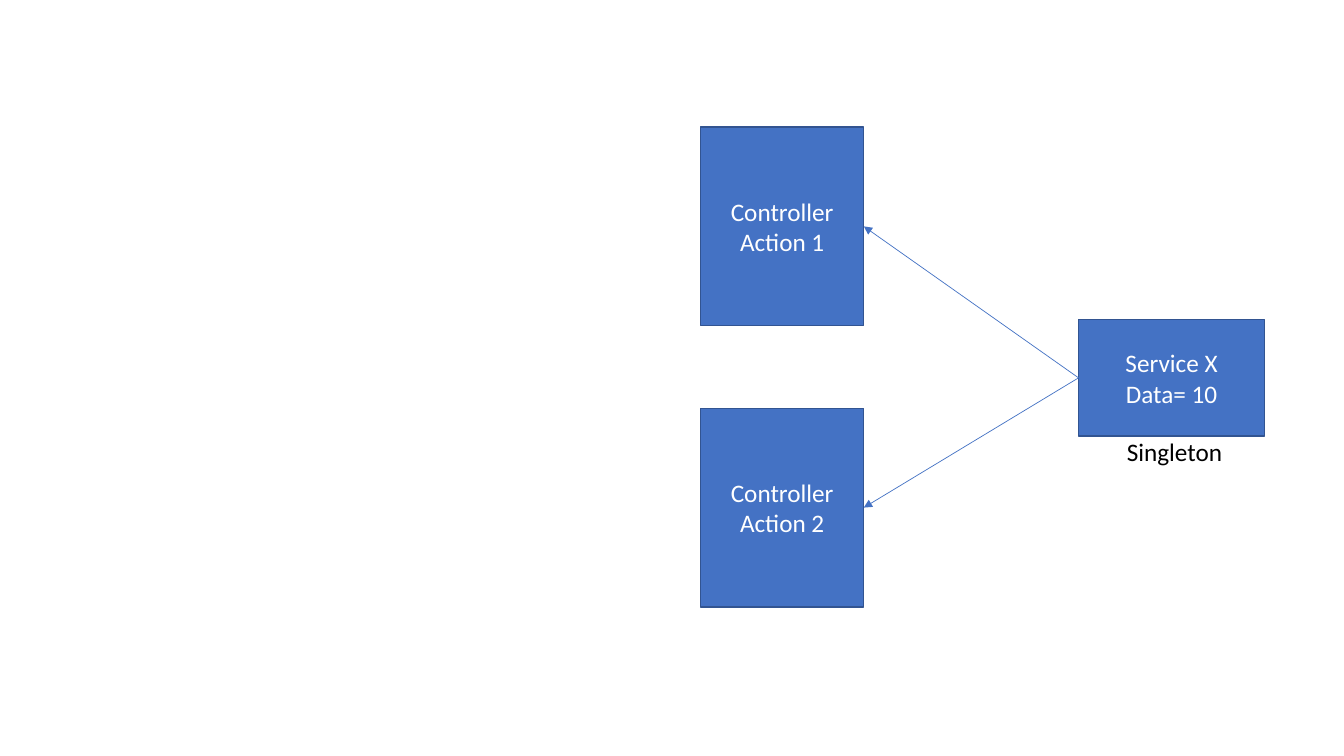
import dataclasses

import lxml.etree
import pptx
import pptx.dml.color
import pptx.enum.shapes
import pptx.enum.text
import pptx.oxml.ns
import pptx.util

Pt = pptx.util.Pt
RGB = pptx.dml.color.RGBColor.from_string
qn = pptx.oxml.ns.qn
ALIGN = pptx.enum.text.PP_ALIGN
ANCHOR = pptx.enum.text.MSO_ANCHOR


@dataclasses.dataclass(frozen=True)
class Theme:
    font: str = "Calibri"
    size: float = 18
    fill: str = "4472C4"
    border: str = "325491"
    light: str = "FFFFFF"
    dark: str = "000000"
    border_width: float = 1
    arrow_width: float = 0.5


def write(tf, text, *, font, size, color, align=ALIGN.LEFT, anchor=ANCHOR.TOP):
    tf.word_wrap = True
    tf.vertical_anchor = anchor
    for i, line in enumerate(text.split("\n")):
        p = tf.paragraphs[0] if i == 0 else tf.add_paragraph()
        p.alignment = align
        r = p.add_run()
        r.text = line
        r.font.name = font
        r.font.size = Pt(size)
        r.font.color.rgb = RGB(color)


class Deck:
    def __init__(self, s, theme):
        self.s = s
        self.theme = theme

    def box(self, text, x, y, w, h):
        t = self.theme
        sp = self.s.shapes.add_shape(
            pptx.enum.shapes.MSO_SHAPE.RECTANGLE, Pt(x), Pt(y), Pt(w), Pt(h))
        sp.shadow.inherit = False
        sp.fill.solid()
        sp.fill.fore_color.rgb = RGB(t.fill)
        sp.line.color.rgb = RGB(t.border)
        sp.line.width = Pt(t.border_width)
        write(sp.text_frame, text, font=t.font, size=t.size, color=t.light,
              align=ALIGN.CENTER, anchor=ANCHOR.MIDDLE)
        return sp

    def label(self, text, x, y, w, h):
        t = self.theme
        sp = self.s.shapes.add_textbox(Pt(x), Pt(y), Pt(w), Pt(h))
        write(sp.text_frame, text, font=t.font, size=t.size, color=t.dark)
        sp.text_frame.auto_size = pptx.enum.text.MSO_AUTO_SIZE.SHAPE_TO_FIT_TEXT

    def arrow(self, start, start_site, end, end_site):
        t = self.theme
        c = self.s.shapes.add_connector(
            pptx.enum.shapes.MSO_CONNECTOR.STRAIGHT, 0, 0, 0, 0)
        c.begin_connect(start, start_site)
        c.end_connect(end, end_site)
        c.line.color.rgb = RGB(t.fill)
        c.line.width = Pt(t.arrow_width)
        ln = c.line._get_or_add_ln()
        lxml.etree.SubElement(ln, qn("a:tailEnd"), type="triangle")
        lxml.etree.SubElement(c._element.spPr, qn("a:effectLst"))


LEFT_SITE, RIGHT_SITE = 1, 3

prs = pptx.Presentation()
prs.slide_width, prs.slide_height = Pt(960), Pt(540)
deck = Deck(prs.slides.add_slide(prs.slide_layouts[6]), Theme())

controllers = [deck.box(f"Controller Action {i + 1}", 500.4, 90.7 + i * 200.9, 116.6, 142)
               for i in range(2)]
service = deck.box("Service X\nData= 10", 770.4, 228.4, 133, 83)
for controller in controllers:
    deck.arrow(service, LEFT_SITE, controller, RIGHT_SITE)
deck.label("Singleton", 797.8, 308.2, 155.5, 29)

prs.save("out.pptx")
